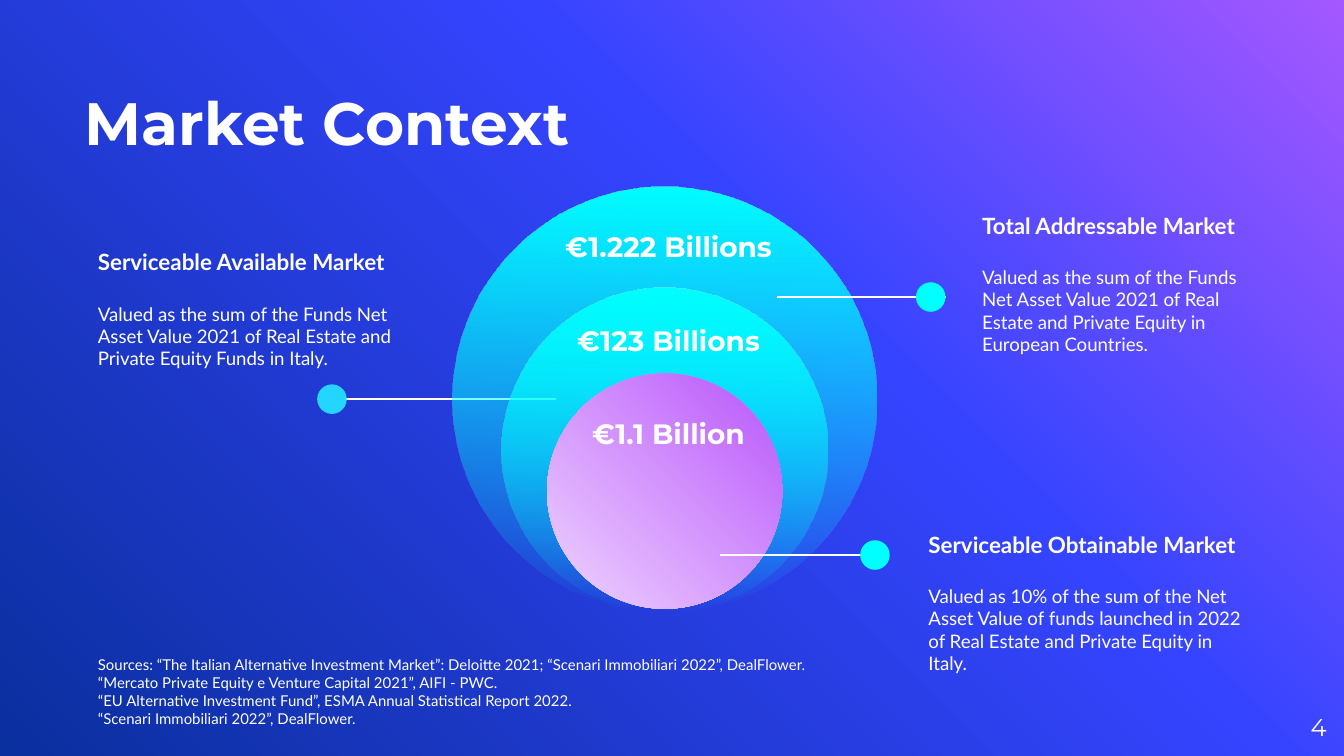
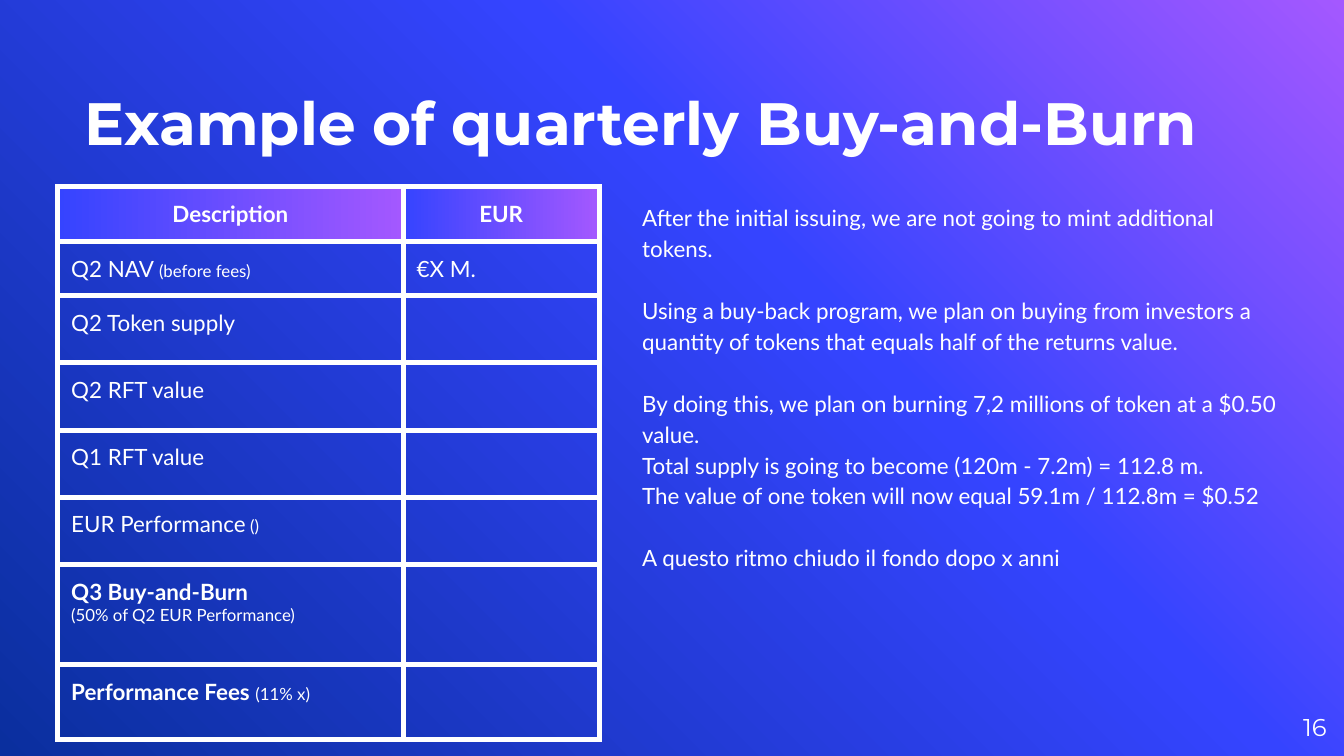
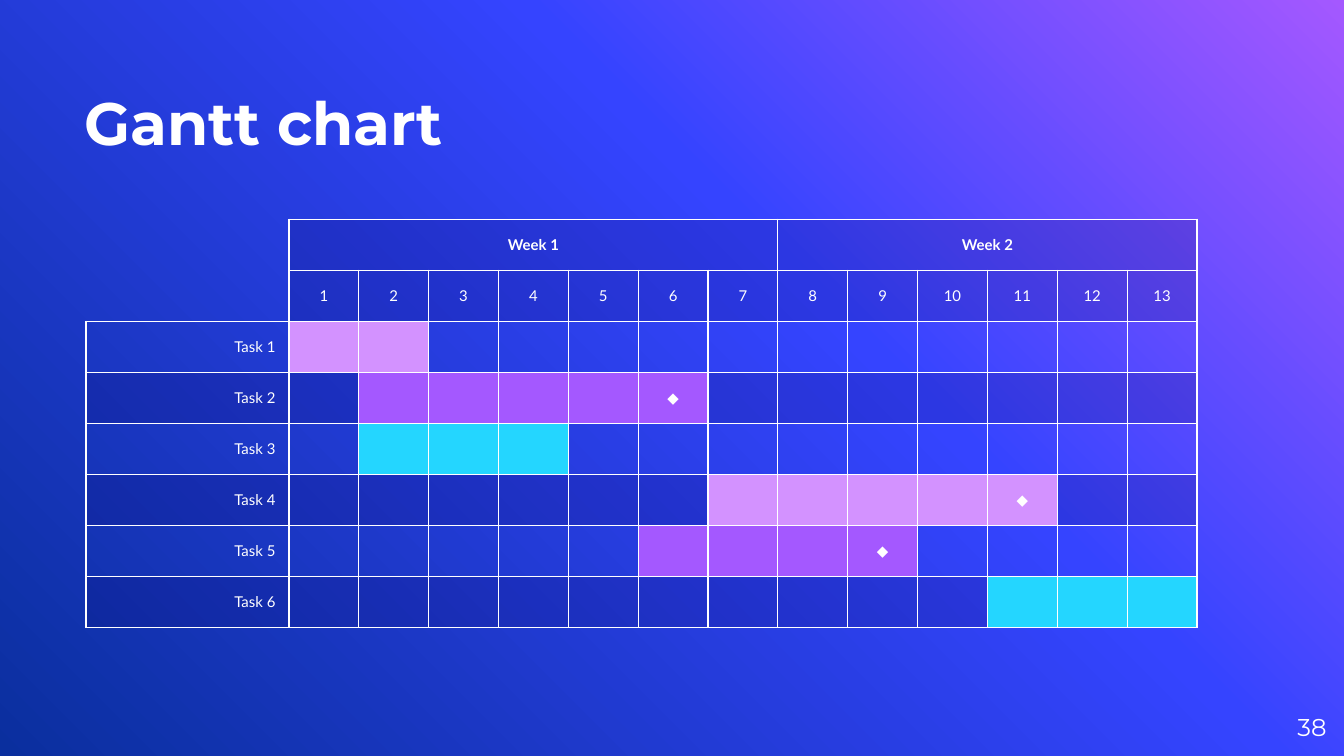
from dataclasses import dataclass
from typing import Optional

from lxml import etree
from pptx import Presentation
from pptx.dml.color import RGBColor
from pptx.enum.shapes import MSO_CONNECTOR, MSO_SHAPE
from pptx.enum.text import MSO_ANCHOR, PP_ALIGN
from pptx.oxml.ns import qn
from pptx.util import Inches, Pt

LEFT, CENTER, RIGHT = PP_ALIGN.LEFT, PP_ALIGN.CENTER, PP_ALIGN.RIGHT
TOP, MIDDLE, BOTTOM = MSO_ANCHOR.TOP, MSO_ANCHOR.MIDDLE, MSO_ANCHOR.BOTTOM
STRAIGHT, OVAL = MSO_CONNECTOR.STRAIGHT, MSO_SHAPE.OVAL

WHITE = RGBColor(0xFF, 0xFF, 0xFF)
PURPLE = RGBColor(0xA4, 0x58, 0xFF)
BLUE = RGBColor(0x35, 0x44, 0xFF)
NAVY = RGBColor(0x0A, 0x2F, 0x9E)
CYAN = RGBColor(0x00, 0xFF, 0xFF)
SKY = RGBColor(0x24, 0xD6, 0xFF)
LILAC = RGBColor(0xD3, 0x92, 0xFF)
PALE_LILAC = RGBColor(0xEE, 0xD4, 0xFF)
ORCHID = RGBColor(0xB9, 0x56, 0xFA)
SHADE = RGBColor(0x05, 0x00, 0x60)

HEADING_FONT, BODY_FONT = "Montserrat", "Lato"
WIDTH, HEIGHT = Inches(10), Inches(5.625)
CONTENT_TOP = 24.71
SIDES = ("L", "R", "T", "B")


# Lengths are percentages of the slide's width (x) and height (y).
def across(share: float) -> int:
    return round(WIDTH * share / 100)


def down(share: float) -> int:
    return round(HEIGHT * share / 100)


@dataclass(frozen=True)
class Box:
    left: float
    top: float
    width: float
    height: float

    def place(self) -> tuple:
        return across(self.left), down(self.top), across(self.width), down(self.height)


@dataclass(frozen=True)
class Run:
    text: str
    size: Optional[float] = None
    bold: Optional[bool] = None


@dataclass(frozen=True)
class Para:
    runs: tuple
    before: float = 0


@dataclass(frozen=True)
class Stop:
    position: int
    color: RGBColor
    alpha: int = 100


@dataclass(frozen=True)
class Ring:
    diameter: float
    top: float
    stops: tuple
    angle: int


@dataclass(frozen=True)
class Callout:
    heading: str
    detail: str
    box: Box
    line_start: float
    line_end: float
    line_y: float
    dot_center: float
    dot_color: RGBColor


@dataclass(frozen=True)
class Task:
    first_day: int
    last_day: int
    color: RGBColor
    milestone: bool = False


# Fills and text
def add_color(parent, color: RGBColor, alpha: int = 100) -> None:
    node = etree.SubElement(parent, qn("a:srgbClr"), val=str(color))
    if alpha < 100:
        etree.SubElement(node, qn("a:alpha"), val=str(alpha * 1000))


def paint_gradient(fill, holder, stops: tuple, angle: int) -> None:
    """Replace the fill inside holder by a linear gradient."""
    fill.solid()
    solid = holder.find(qn("a:solidFill"))
    gradient = etree.Element(qn("a:gradFill"), rotWithShape="1")
    stop_list = etree.SubElement(gradient, qn("a:gsLst"))
    for stop in stops:
        node = etree.SubElement(stop_list, qn("a:gs"), pos=str(stop.position * 1000))
        add_color(node, stop.color, stop.alpha)
    etree.SubElement(gradient, qn("a:lin"), ang=str(angle * 60000), scaled="0")
    holder.replace(solid, gradient)


def write(frame, content, *, size: float, font: str = BODY_FONT, bold: bool = False,
          align=LEFT, spacing: Optional[float] = None) -> None:
    """Fill a frame with a string or a list of Para; a newline is a line break."""
    paras = [Para((Run(content),))] if isinstance(content, str) else content
    for index, para in enumerate(paras):
        paragraph = frame.add_paragraph() if index else frame.paragraphs[0]
        paragraph.alignment = align
        if spacing:
            paragraph.line_spacing = spacing
        if para.before:
            paragraph.space_before = Pt(para.before)
        for part in para.runs:
            part_size = part.size or size
            for number, line in enumerate(part.text.split("\n")):
                if number:
                    paragraph.add_line_break()
                    etree.SubElement(paragraph._p[-1], qn("a:rPr"),
                                     sz=str(round(part_size * 100)))
                if not line:
                    continue
                run = paragraph.add_run()
                run.text = line
                run.font.name = font
                run.font.size = Pt(part_size)
                run.font.bold = bold if part.bold is None else part.bold
                run.font.color.rgb = WHITE


def add_text(slide, box: Box, content, *, anchor=TOP, inset: float = 0.1, **style) -> None:
    frame = slide.shapes.add_textbox(*box.place()).text_frame
    frame.word_wrap = True
    frame.vertical_anchor = anchor
    frame.margin_left = frame.margin_right = Inches(inset)
    frame.margin_top = frame.margin_bottom = Inches(inset)
    write(frame, content, **style)


# Shared slide frame
def start_slide(deck, title: str, number: int):
    slide = deck.slides.add_slide(deck.slide_layouts[6])
    fill = slide.background.fill
    fill.solid()
    backdrop = slide.element.find(".//" + qn("p:bgPr"))
    paint_gradient(fill, backdrop,
                   (Stop(0, PURPLE), Stop(39, BLUE), Stop(100, NAVY)), 135)
    add_text(slide, Box(6.3, 4.09, 87.7, 16.71), title, anchor=BOTTOM, inset=0,
             size=32, font=HEADING_FONT, bold=True)
    add_text(slide, Box(92.7, 92.27, 6, 7.64), str(number), anchor=MIDDLE, inset=0,
             size=13, font=HEADING_FONT, align=RIGHT)
    return slide


# Market circles
def add_circle(slide, center: float, top: int, diameter: float):
    size = across(diameter)
    circle = slide.shapes.add_shape(OVAL, across(center) - size // 2, top, size, size)
    circle.shadow.inherit = False
    circle.line.fill.background()
    return circle


def add_ring(slide, ring: Ring) -> None:
    circle = add_circle(slide, 49.45, down(ring.top), ring.diameter)
    paint_gradient(circle.fill, circle.element.spPr, ring.stops, ring.angle)


def add_callout(slide, callout: Callout) -> None:
    y = down(callout.line_y)
    line = slide.shapes.add_connector(
        STRAIGHT, across(callout.line_start), y, across(callout.line_end), y)
    line.line.color.rgb = WHITE
    line.line.width = Pt(0.75)
    etree.SubElement(line.element.spPr, qn("a:effectLst"))
    diameter = 2.2
    dot = add_circle(slide, callout.dot_center, y - across(diameter) // 2, diameter)
    dot.fill.solid()
    dot.fill.fore_color.rgb = callout.dot_color
    add_text(slide, callout.box,
             [Para((Run(callout.heading, 12, True),)),
              Para((Run(callout.detail),), before=14.4)],
             anchor=MIDDLE, size=10)


def build_market(deck) -> None:
    slide = start_slide(deck, "Market Context", 4)
    available, *others = (
        Callout("Serviceable Available Market",
                "Valued as the sum of the Funds Net Asset Value 2021 of Real Estate "
                "and Private Equity Funds in Italy.",
                Box(6.3, CONTENT_TOP, 24.9, 32.36), 41.4, 24.3, 52.8, 24.7, SKY),
        Callout("Total Addressable Market",
                "Valued as the sum of the Funds Net Asset Value 2021 of Real Estate "
                "and Private Equity in European Countries.",
                Box(72.1, 19.38, 21.5, 36.27), 57.8, 70.4, 39.29, 69.25, CYAN),
        Callout("Serviceable Obtainable Market",
                "Valued as 10% of the sum of the Net Asset Value of funds launched "
                "in 2022 of Real Estate and Private Equity in Italy.",
                Box(68.1, 62.4, 25.9, 34.67), 53.6, 66.1, 73.42, 65.1, CYAN),
    )
    fading = (Stop(0, CYAN), Stop(100, CYAN, 0))
    rings = (
        Ring(31.6, CONTENT_TOP, fading, 90),
        Ring(24.2, 38.04, fading, 90),
        Ring(17.5, 49.42, (Stop(0, PALE_LILAC), Stop(100, ORCHID)), 315),
    )
    # The rings veil the inner end of the first callout's line
    add_callout(slide, available)
    for ring in rings:
        add_ring(slide, ring)
    for callout in others:
        add_callout(slide, callout)
    for amount, top in (("€1.222 Billions", 28.44), ("€123 Billions", 40.89),
                        ("€1.1 Billion", 53.16)):
        add_text(slide, Box(40.4, top, 18.7, 6.4), amount, anchor=BOTTOM, inset=0,
                 size=15, font=HEADING_FONT, bold=True, align=CENTER)
    add_text(slide, Box(6.3, 84.98, 68.5, 15.02),
             "Sources: “The Italian Alternative Investment Market”: Deloitte 2021; "
             "“Scenari Immobiliari 2022”, DealFlower.\n"
             "“Mercato Private Equity e Venture Capital 2021”, AIFI - PWC.\n"
             "“EU Alternative Investment Fund”, ESMA Annual Statistical Report 2022.\n"
             "“Scenari Immobiliari 2022”, DealFlower.", size=8)


# Tables
def add_grid(slide, left: float, top: float, columns: list, rows: list):
    box = Box(left, top, sum(columns), sum(rows))
    table = slide.shapes.add_table(len(rows), len(columns), *box.place()).table
    table.first_row = table.horz_banding = False
    for column, share in zip(table.columns, columns):
        column.width = across(share)
    for row, share in zip(table.rows, rows):
        row.height = down(share)
    return table


def style_cell(cell, *, border: float, sides=SIDES, inset: float = 0,
               color: Optional[RGBColor] = None, alpha: int = 100) -> None:
    """Set borders first, then the fill, as the schema orders them."""
    properties = cell._tc.get_or_add_tcPr()
    for side in SIDES:
        edge = etree.SubElement(properties, qn("a:ln" + side), w=str(Pt(border)))
        if side in sides:
            add_color(etree.SubElement(edge, qn("a:solidFill")), WHITE)
        else:
            etree.SubElement(edge, qn("a:noFill"))
    cell.margin_left = cell.margin_right = Inches(0.1)
    cell.margin_top = cell.margin_bottom = Inches(inset)
    if color is None:
        cell.fill.background()
        return
    cell.fill.solid()
    cell.fill.fore_color.rgb = color
    if alpha < 100:
        tint = properties.find(qn("a:solidFill"))[0]
        etree.SubElement(tint, qn("a:alpha"), val=str(alpha * 1000))


def build_buy_and_burn(deck) -> None:
    slide = start_slide(deck, "Example of quarterly Buy-and-Burn", 16)
    paragraphs = (
        ("After the initial issuing, we are not going to mint additional tokens.", False),
        ("Using a buy-back program, we plan on buying from investors a quantity of "
         "tokens that equals half of the returns value.", True),
        ("By doing this, we plan on burning 7,2 millions of token at a $0.50 value.", True),
        ("Total supply is going to become (120m - 7.2m) = 112.8 m.", False),
        ("The value of one token will now equal 59.1m / 112.8m = $0.52", False),
        ("A questo ritmo chiudo il fondo dopo x anni", True),
    )
    add_text(slide, Box(46.8, CONTENT_TOP, 49.3, 65.6),
             [Para((Run(text),), 16.6 if apart else 0) for text, apart in paragraphs],
             size=12, spacing=1.15)

    entries = (
        ((Run("Description", bold=True),), "EUR"),
        ((Run("Q2 NAV "), Run("(before fees)", 9)), "€X M."),
        ((Run("Q2 Token supply"),), ""),
        ((Run("Q2 RFT value"),), ""),
        ((Run("Q1 RFT value"),), ""),
        ((Run("EUR Performance"), Run(" ()", 9)), ""),
        ((Run("Q3 Buy-and-Burn\n", bold=True), Run("(50% of Q2 EUR Performance)", 9)), ""),
        ((Run("Performance Fees ", bold=True), Run("(11% x)", 9)), ""),
    )
    table = add_grid(slide, 4.3, CONTENT_TOP, [25.7, 14.6],
                     [7.29, 7] + [8.89] * 4 + [13.23, 9.96])
    for row, (description, euros) in enumerate(entries):
        header = row == 0
        for column, runs in enumerate((description, (Run(euros, bold=header),))):
            cell = table.cell(row, column)
            filled = bool(runs[0].text)
            style_cell(cell, border=3, inset=0.1 if filled else 0)
            if filled:
                write(cell.text_frame, [Para(runs)], size=12,
                      align=CENTER if header else LEFT)
            if header:
                paint_gradient(cell.fill, cell._tc.tcPr,
                               (Stop(0, PURPLE), Stop(100, BLUE)), 180)


def build_gantt(deck) -> None:
    slide = start_slide(deck, "Gantt chart", 38)
    tasks = (
        Task(1, 2, LILAC), Task(2, 6, PURPLE, True), Task(2, 4, SKY),
        Task(7, 11, LILAC, True), Task(6, 9, PURPLE, True), Task(11, 13, SKY),
    )
    days = range(1, 14)
    header_rows = 2
    table = add_grid(slide, 6.4, 28.98, [15.1] + [5.2] * len(days),
                     [6.76] * (header_rows + len(tasks)))

    def fill_cell(row: int, column: int, text: str = "", *, align=CENTER,
                  bold: bool = False, **look) -> None:
        cell = table.cell(row, column)
        style_cell(cell, border=0.75, inset=0.05 if text else 0, **look)
        cell.vertical_anchor = MIDDLE
        if text:
            write(cell.text_frame, text, size=8, bold=bold, align=align)

    shaded = {"color": SHADE, "alpha": 18}
    # Weeks and days
    week_starts = {1: "Week 1", 8: "Week 2"}
    fill_cell(0, 0, sides=("R",))
    fill_cell(1, 0, sides=("R", "B"))
    for day in days:
        fill_cell(0, day, week_starts.get(day, ""), bold=True, **shaded)
        fill_cell(1, day, str(day), **shaded)
    for first, last in ((1, 7), (8, 13)):
        table.cell(0, first).merge(table.cell(0, last))

    # Task bars, with every second row shaded
    for number, task in enumerate(tasks, start=1):
        row = header_rows + number - 1
        base = {} if number % 2 else shaded
        fill_cell(row, 0, f"Task {number}", align=RIGHT, **base)
        for day in days:
            active = task.first_day <= day <= task.last_day
            mark = "◆" if task.milestone and day == task.last_day else ""
            fill_cell(row, day, mark, **({"color": task.color} if active else base))


def main() -> None:
    deck = Presentation()
    deck.slide_width, deck.slide_height = WIDTH, HEIGHT
    build_market(deck)
    build_buy_and_burn(deck)
    build_gantt(deck)
    deck.save("out.pptx")


if __name__ == "__main__":
    main()
